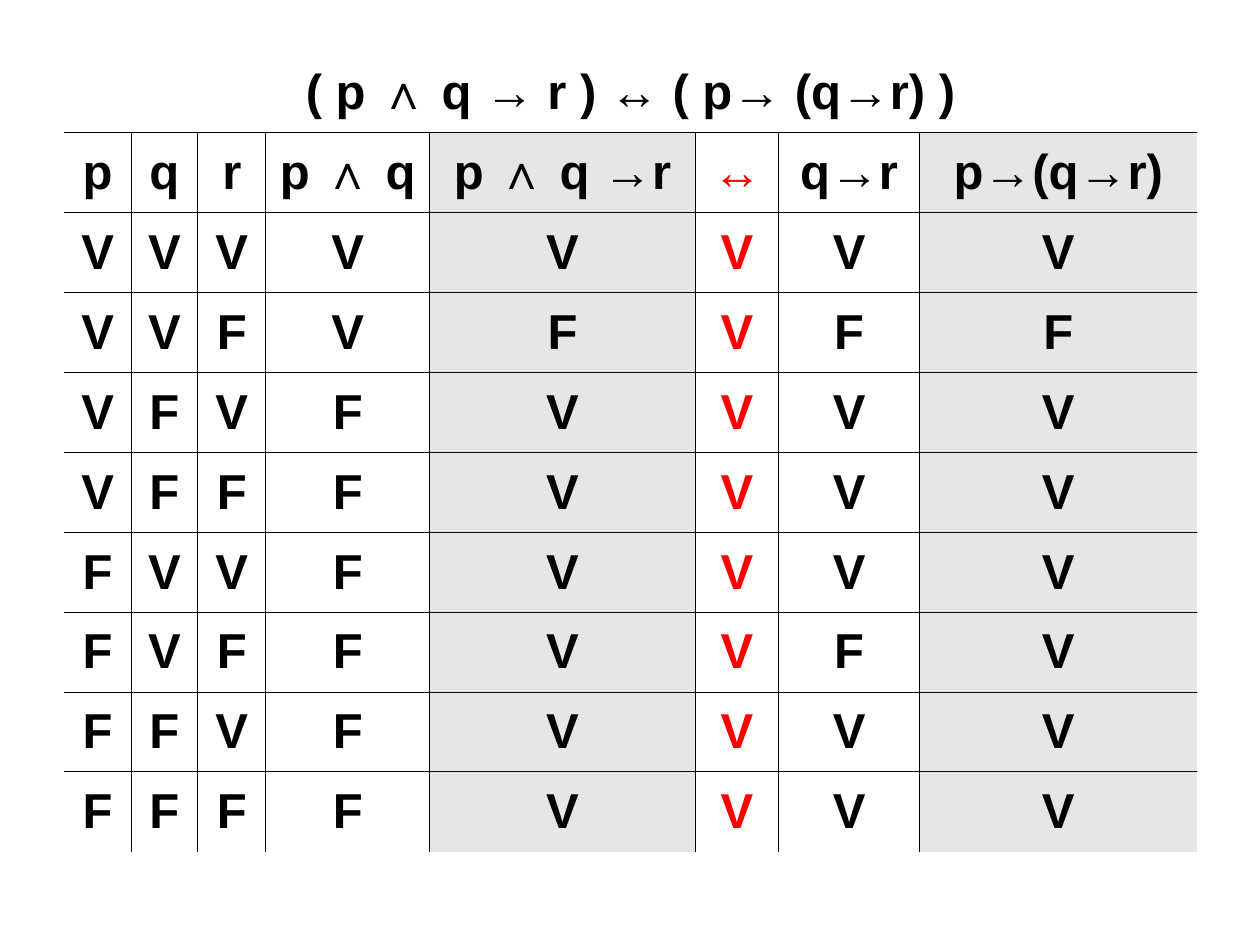
from itertools import product

from lxml.etree import SubElement
from pptx import Presentation
from pptx.dml.color import RGBColor
from pptx.enum.text import MSO_ANCHOR, PP_ALIGN
from pptx.oxml.ns import qn
from pptx.util import Inches, Pt

COLORS = {"text": "000000", "result": "FF0000", "shade": "E6E6E6", "line": "000000"}
FORMULA = "( p ∧ q → r ) ↔ ( p→ (q→r) )"
HEADINGS = ["p", "q", "r", "p ∧ q", "p ∧ q →r", "↔", "q→r", "p→(q→r)"]
COLUMN_WIDTHS = [0.53, 0.53, 0.54, 1.3, 2.11, 0.66, 1.12, 2.2]
SHADED_COLUMNS = {4, 7}
RESULT_COLUMN = 5


def truth_rows():
    for p, q, r in product([True, False], repeat=3):
        left = not (p and q) or r
        inner = not q or r
        right = not p or inner
        values = [p, q, r, p and q, left, left == right, inner, right]
        yield ["V" if value else "F" for value in values]


def set_borders(cell, visible):
    """Draw the sides named in visible (from "LRTB") and hide the others."""
    properties = cell._tc.get_or_add_tcPr()
    for side in "LRTB":
        line = SubElement(properties, qn(f"a:ln{side}"), w=str(Pt(0.45)))
        if side in visible:
            fill = SubElement(line, qn("a:solidFill"))
            SubElement(fill, qn("a:srgbClr"), val=COLORS["line"])
        else:
            SubElement(line, qn("a:noFill"))


def write_cell(cell, text, color, shaded):
    cell.vertical_anchor = MSO_ANCHOR.MIDDLE
    if shaded:
        cell.fill.solid()
        cell.fill.fore_color.rgb = RGBColor.from_string(COLORS["shade"])
    else:
        cell.fill.background()
    para = cell.text_frame.paragraphs[0]
    para.text = text
    para.alignment = PP_ALIGN.CENTER
    para.font.name = "Arial"
    para.font.size = Pt(28)
    para.font.bold = True
    para.font.color.rgb = RGBColor.from_string(color)


def add_truth_table(page, left, top, width, height):
    rows = [HEADINGS, *truth_rows()]
    last_row, last_column = len(rows), len(HEADINGS) - 1
    table = page.shapes.add_table(
        last_row + 1, last_column + 1, left, top, width, height
    ).table
    table.first_row = table.horz_banding = False
    for column, column_width in zip(table.columns, COLUMN_WIDTHS):
        column.width = Inches(column_width)

    for cell in table.rows[0].cells:
        set_borders(cell, "B")
    title = table.cell(0, 0)
    title.merge(table.cell(0, last_column))
    write_cell(title, FORMULA, COLORS["text"], False)

    for row, texts in enumerate(rows, start=1):
        for column, text in enumerate(texts):
            cell = table.cell(row, column)
            sides = "T"
            sides += "L" if column > 0 else ""
            sides += "R" if column < last_column else ""
            sides += "B" if row < last_row else ""
            set_borders(cell, sides)
            color = COLORS["result" if column == RESULT_COLUMN else "text"]
            write_cell(cell, text, color, column in SHADED_COLUMNS)


def main():
    deck = Presentation()
    deck.slide_width, deck.slide_height = Inches(10), Inches(7.5)
    page = deck.slides.add_slide(deck.slide_layouts[6])
    add_truth_table(page, Inches(0.51), Inches(0.42), Inches(9), Inches(6.34))
    deck.save("out.pptx")


if __name__ == "__main__":
    main()
